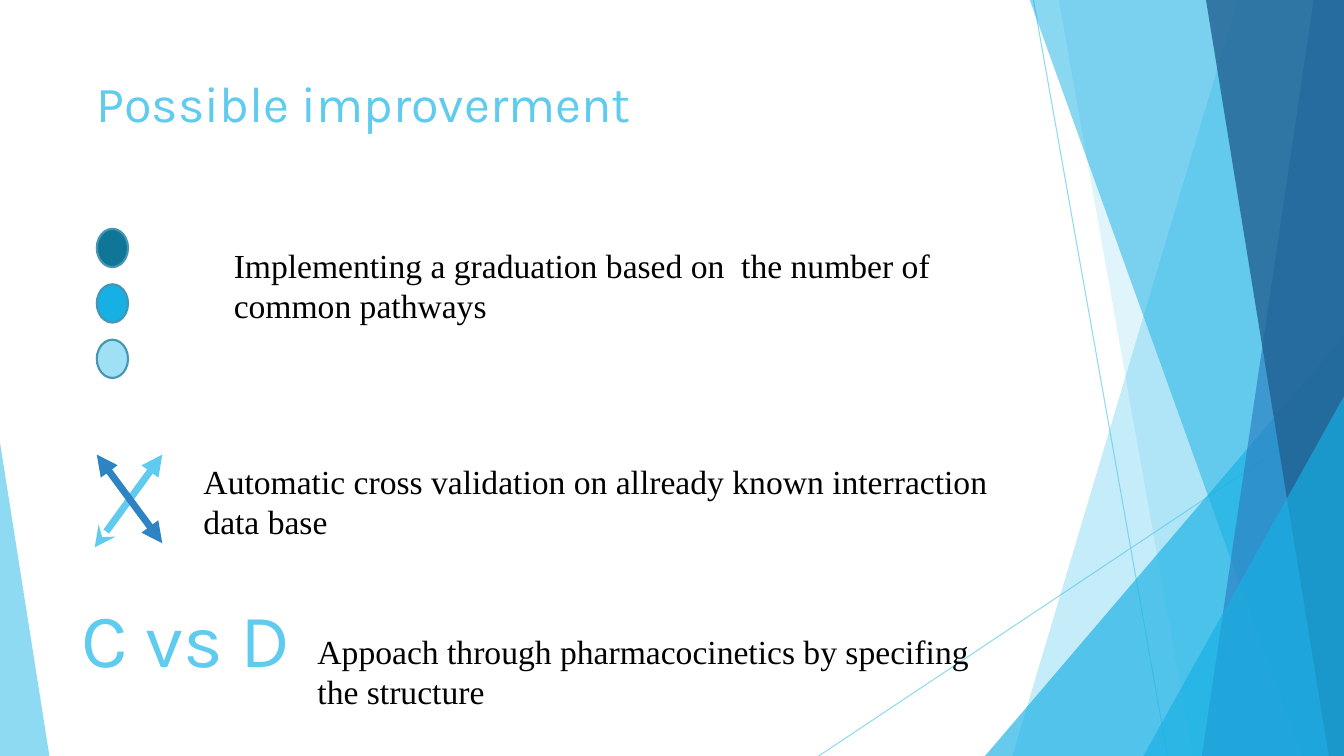
from dataclasses import dataclass
from typing import Optional

from lxml.etree import SubElement
from pptx import Presentation
from pptx.dml.color import RGBColor
from pptx.enum.shapes import MSO_CONNECTOR, MSO_SHAPE
from pptx.enum.text import MSO_ANCHOR, MSO_AUTO_SIZE, PP_ALIGN
from pptx.oxml.ns import qn
from pptx.util import Inches, Pt


@dataclass(frozen=True)
class Theme:
    """Colours, fonts and type sizes of the slide."""
    sky: str = "5FCBEF"
    cyan: str = "17B0E4"
    blue: str = "2E83C3"
    navy: str = "226292"
    teal: str = "0F7698"
    pale: str = "9FE0F5"
    rim: str = "4696B1"
    black: str = "000000"
    display: str = "Karla"
    body: str = "Times New Roman"
    title_pt: int = 36
    body_pt: int = 24
    symbol_pt: int = 54


T = Theme()
WIDTH, HEIGHT, BLEED = 13.33, 7.5, -0.01


@dataclass(frozen=True)
class Band:
    """Translucent band from a slanted left edge to the right slide edge."""
    top_x: float
    bottom_x: float
    color: str
    opacity: int


@dataclass(frozen=True)
class Wedge:
    """Translucent triangle standing on the bottom slide edge."""
    left: float
    top: float
    width: float
    apex: float
    color: str
    opacity: int


@dataclass(frozen=True)
class Stroke:
    """Straight line with optional arrowheads."""
    x1: float
    y1: float
    x2: float
    y2: float
    color: str
    weight: float
    opacity: int = 100
    head: Optional[str] = None
    tail: Optional[str] = None


@dataclass(frozen=True)
class Label:
    """Text box with one style."""
    text: str
    left: float
    top: float
    width: float
    height: float
    size: int = T.body_pt
    font: str = T.body
    color: str = T.black
    align: PP_ALIGN = PP_ALIGN.LEFT
    grow: bool = True


HAIRLINES = [
    Stroke(10.25, 0, 11.58, HEIGHT, T.sky, 0.75, 70),
    Stroke(WIDTH, 4.03, 8.12, HEIGHT, T.sky, 0.75, 70),
]
FACETS = [
    Band(12.28, 10.04, T.sky, 36),
    Band(10.5, 11.83, T.sky, 20),
    Wedge(9.77, 3.33, 3.56, 1, T.cyan, 66),
    Band(10.21, 12.91, T.cyan, 50),
    Band(13.03, 11.92, T.blue, 70),
    Band(11.96, 13.18, T.navy, 80),
    Wedge(11.34, 3.93, 1.99, 1, T.cyan, 66),
    Wedge(0, 4.39, 0.49, 0, T.sky, 70),
]
CROSS = [
    Stroke(0.94, 5.43, 1.61, 4.51, T.sky, 5, head="stealth", tail="triangle"),
    Stroke(1.61, 5.39, 0.96, 4.51, T.blue, 5, head="triangle", tail="triangle"),
]
GRADES = [T.teal, T.cyan, T.pale]
LABELS = [
    Label(" Possible improverment", 0.74, 0.67, 9.4, 1.44,
          T.title_pt, T.display, T.sky, grow=False),
    Label("Implementing a graduation based on  the number of common pathways",
          2.22, 2.38, 8.22, 0.91),
    Label("Automatic cross validation on allready known interraction data base",
          1.92, 4.52, 8.53, 0.91),
    Label("C vs D", 0.64, 5.82, 2.41, 1.01,
          T.symbol_pt, T.display, T.sky, PP_ALIGN.CENTER),
    Label("Appoach through pharmacocinetics by specifing the structure",
          3.05, 6.21, 7.09, 0.91),
]


def set_opacity(sp, percent: int) -> None:
    """Make the solid colour of a shape or line translucent."""
    clr = next(sp._element.spPr.iter(qn("a:srgbClr")))
    SubElement(clr, qn("a:alpha"), val=str(percent * 1000))


def fill_shape(sp, color: str) -> None:
    """Give a shape a flat fill without shadow."""
    sp.shadow.inherit = False
    sp.fill.solid()
    sp.fill.fore_color.rgb = RGBColor.from_string(color)


def add_facet(s, facet: Band | Wedge) -> None:
    """Draw one background facet."""
    if isinstance(facet, Band):
        fb = s.shapes.build_freeform(Inches(facet.top_x), Inches(BLEED), scale=1.0)
        corners = [(WIDTH, BLEED), (WIDTH, HEIGHT), (facet.bottom_x, HEIGHT)]
        fb.add_line_segments([(Inches(x), Inches(y)) for x, y in corners], close=True)
        sp = fb.convert_to_shape()
    else:
        sp = s.shapes.add_shape(
            MSO_SHAPE.ISOSCELES_TRIANGLE, Inches(facet.left), Inches(facet.top),
            Inches(facet.width), Inches(HEIGHT - facet.top))
        sp.adjustments[0] = facet.apex
    fill_shape(sp, facet.color)
    sp.line.fill.background()
    set_opacity(sp, facet.opacity)


def add_stroke(s, stroke: Stroke) -> None:
    """Draw one line or arrow."""
    cn = s.shapes.add_connector(
        MSO_CONNECTOR.STRAIGHT, Inches(stroke.x1), Inches(stroke.y1),
        Inches(stroke.x2), Inches(stroke.y2))
    cn.line.color.rgb = RGBColor.from_string(stroke.color)
    cn.line.width = Pt(stroke.weight)
    if stroke.opacity < 100:
        set_opacity(cn, stroke.opacity)
    ln = cn._element.spPr.find(qn("a:ln"))
    for tag, kind in (("a:headEnd", stroke.head), ("a:tailEnd", stroke.tail)):
        if kind:
            SubElement(ln, qn(tag), type=kind)
    SubElement(cn._element.spPr, qn("a:effectLst"))


def add_grade(s, index: int, color: str) -> None:
    """Draw one dot of the graduation scale."""
    sp = s.shapes.add_shape(MSO_SHAPE.OVAL, Inches(0.96), Inches(2.27 + 0.55 * index),
                            Inches(0.31), Inches(0.38))
    fill_shape(sp, color)
    sp.line.color.rgb = RGBColor.from_string(T.rim)
    sp.line.width = Pt(1.5)


def add_label(s, label: Label) -> None:
    """Write one text box."""
    tb = s.shapes.add_textbox(Inches(label.left), Inches(label.top),
                              Inches(label.width), Inches(label.height))
    tf = tb.text_frame
    tf.word_wrap = True
    tf.auto_size = MSO_AUTO_SIZE.SHAPE_TO_FIT_TEXT if label.grow else MSO_AUTO_SIZE.NONE
    tf.vertical_anchor = MSO_ANCHOR.TOP
    tf.text = label.text
    p = tf.paragraphs[0]
    p.alignment = label.align
    r = p.runs[0]
    r.font.name = label.font
    r.font.size = Pt(label.size)
    r.font.color.rgb = RGBColor.from_string(label.color)


def main() -> None:
    """Build and save the slide."""
    prs = Presentation()
    prs.slide_width, prs.slide_height = Inches(WIDTH), Inches(HEIGHT)
    s = prs.slides.add_slide(prs.slide_layouts[6])
    for hairline in HAIRLINES:
        add_stroke(s, hairline)
    for facet in FACETS:
        add_facet(s, facet)
    for index, color in enumerate(GRADES):
        add_grade(s, index, color)
    for arrow in CROSS:
        add_stroke(s, arrow)
    for label in LABELS:
        add_label(s, label)
    prs.save("out.pptx")


if __name__ == "__main__":
    main()
